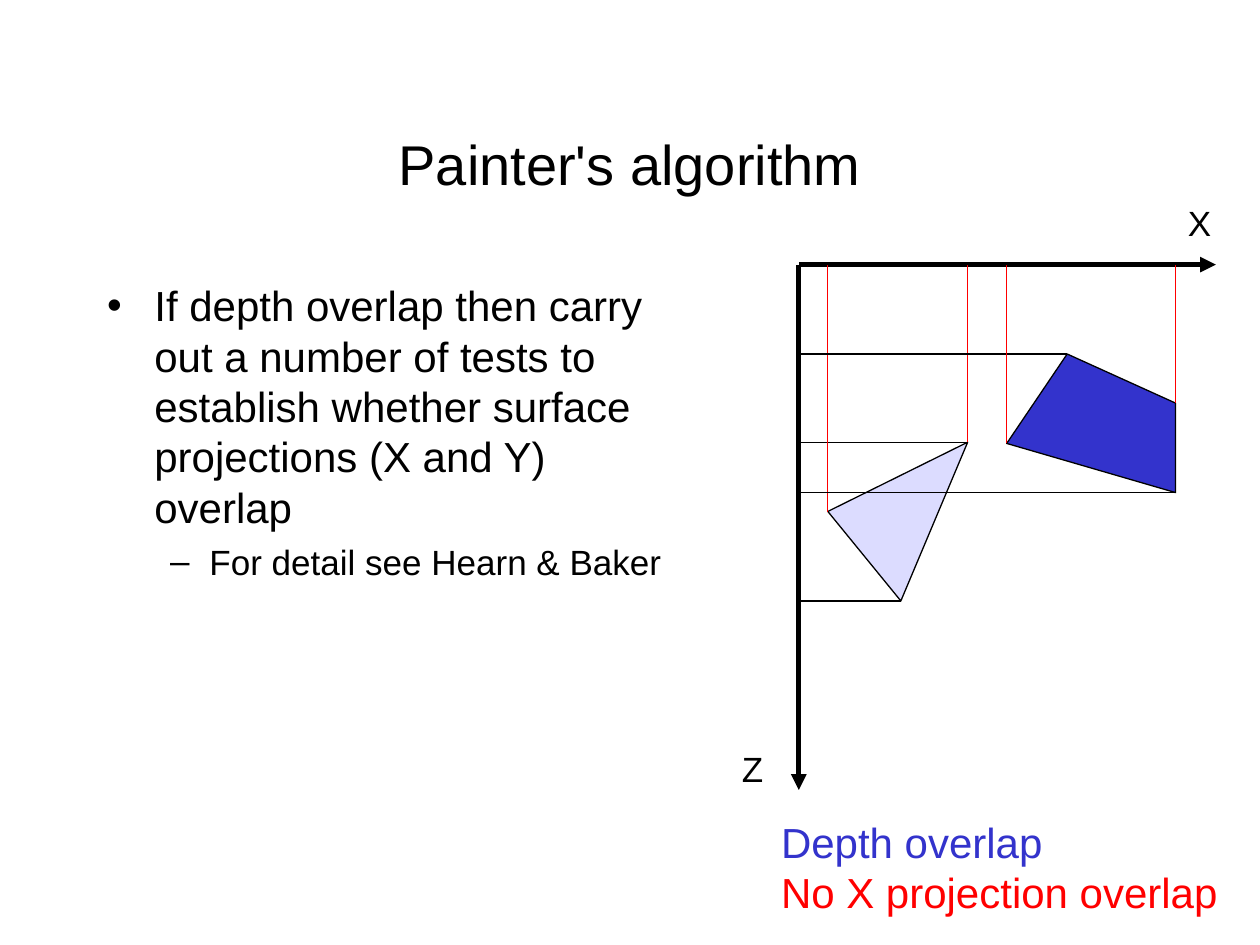
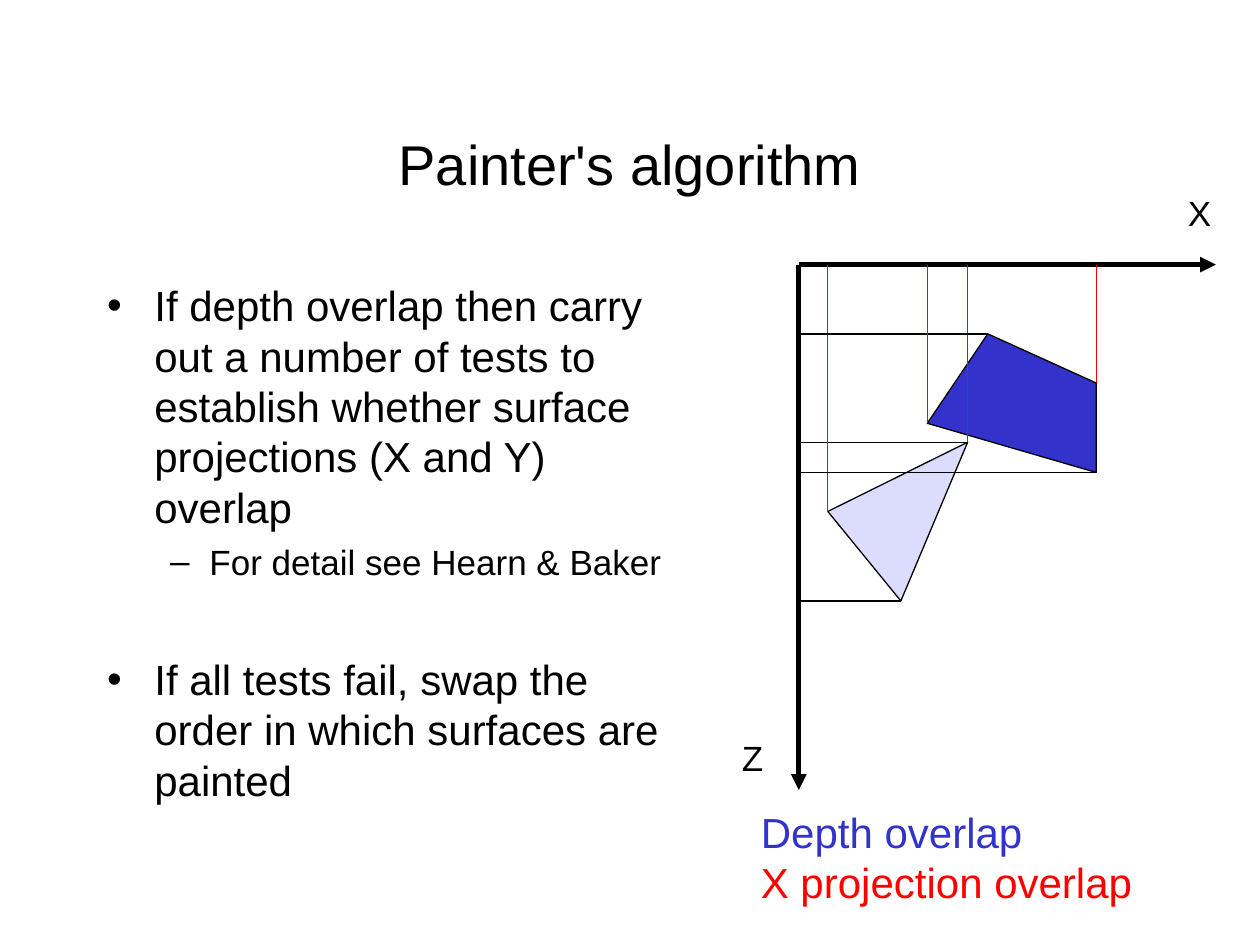
from pptx import Presentation
from pptx.dml.color import RGBColor
from pptx.enum.shapes import MSO_CONNECTOR
from pptx.enum.text import MSO_ANCHOR, MSO_AUTO_SIZE, PP_ALIGN
from pptx.oxml.ns import qn
from pptx.util import Inches, Pt
from lxml.etree import SubElement

FONT = "Arial"
COLORS = {"ink": "000000", "near": "3333CC", "far": "DCDCFF", "cast": "FF0000"}
TITLE = "Painter's algorithm"
POINTS = [
    ("If depth overlap then carry out a number of tests to establish "
     "whether surface projections (X and Y) overlap", 0, 6),
    ("For detail see Hearn & Baker", 1, 5),
]
SWAP = ("If all tests fail, swap the order in which surfaces are painted", 0, 40.5)
SIZES = [24, 20]
AXES = (6.34, 2.1, 3.31, 4.17)
QUAD = [(0, 0), (1.34, 0.39), (1.34, -0.32), (0.48, -0.71)]
FACE = [(0.23, 1.96), (0.81, 2.67), (1.34, 1.41)]


def color(name):
    return RGBColor.from_string(COLORS[name])


def style(para, size, name="ink"):
    for run in para.runs:
        run.font.name = FONT
        run.font.size = Pt(size)
        run.font.color.rgb = color(name)


def place(shape, box):
    shape.left, shape.top, shape.width, shape.height = map(Inches, box)


def add_title(slide, box):
    title = slide.shapes.title
    place(title, box)
    frame = title.text_frame
    frame.text = TITLE
    frame.auto_size = MSO_AUTO_SIZE.NONE
    frame.vertical_anchor = MSO_ANCHOR.MIDDLE
    para = frame.paragraphs[0]
    para.alignment = PP_ALIGN.CENTER
    para.space_before, para.space_after = Pt(12), Pt(6)
    style(para, 32)


def add_body(slide, box, points):
    body = slide.placeholders[1]
    place(body, box)
    frame = body.text_frame
    frame.text = "\n".join(text for text, level, gap in points)
    frame.auto_size = MSO_AUTO_SIZE.NONE
    for para, (text, level, gap) in zip(frame.paragraphs, points):
        para.level = level
        para.space_before = Pt(gap)
        style(para, SIZES[level])


def add_text(slide, box, lines, size, wrap=False):
    frame = slide.shapes.add_textbox(*map(Inches, box)).text_frame
    frame.text = "\n".join(text for text, name in lines)
    frame.word_wrap = wrap
    for para, (text, name) in zip(frame.paragraphs, lines):
        style(para, size, name)


def add_line(slide, start, end, name="ink", width=0.75, arrow=False):
    ends = map(Inches, (*start, *end))
    line = slide.shapes.add_connector(MSO_CONNECTOR.STRAIGHT, *ends)
    line.line.color.rgb = color(name)
    line.line.width = Pt(width)
    if arrow:
        SubElement(line.line._get_or_add_ln(), qn("a:tailEnd"), type="triangle")
    SubElement(line._element.spPr, qn("a:effectLst"))


def add_face(slide, points, name):
    spots = [(Inches(x), Inches(z)) for x, z in points]
    pen = slide.shapes.build_freeform(*spots[0], scale=1.0)
    pen.add_line_segments(spots[1:], close=True)
    face = pen.convert_to_shape()
    face.shadow.inherit = False
    face.fill.solid()
    face.fill.fore_color.rgb = color(name)
    face.line.color.rgb = color("ink")
    face.line.width = Pt(0.75)


def add_casts(slide, points, left, top):
    for pick in (min, max):
        x, z = pick(points, key=lambda p: p[1])
        add_line(slide, (x, z), (left, z))
        x, z = pick(points, key=lambda p: (p[0], -p[1]))
        add_line(slide, (x, z), (x, top), "cast")


def add_plot(slide, box, shift, lift):
    left, top, width, height = box
    add_text(slide, (left + 2.99, top - 0.55 - lift, 0.38, 0.44), [("X", "ink")], 20)
    add_text(slide, (left - 0.55, top + 3.78 - lift, 0.37, 0.44), [("Z", "ink")], 20)
    for end in ((left, top + height), (left + width, top)):
        add_line(slide, (left, top), end, width=3, arrow=True)
    near = [(left + shift[0] + x, top + shift[1] + z) for x, z in QUAD]
    far = [(left + x, top + z) for x, z in FACE]
    add_face(slide, near, "near")
    add_face(slide, far, "far")
    for points in (far, near):
        add_casts(slide, points, left, top)


def add_slide(deck, points, shift, lift, note, spot):
    slide = deck.slides.add_slide(deck.slide_layouts[1])
    add_title(slide, (0.75, 0.67, 8.5, 1.25))
    add_body(slide, (0.75, 2.17, 4.72, 4.5), points)
    add_text(slide, (*spot, 3.78, 0.9),
             [("Depth overlap", "near"), (note, "cast")], 24, True)
    add_plot(slide, AXES, shift, lift)


def main():
    deck = Presentation()
    deck.slide_width, deck.slide_height = Inches(10), Inches(7.5)
    add_slide(deck, POINTS, (1.65, 1.42), 0,
              "No X projection overlap", (6.1, 6.43))
    add_slide(deck, POINTS + [SWAP], (1.02, 1.26), 0.08,
              "X projection overlap", (5.94, 6.35))
    deck.save("out.pptx")


if __name__ == "__main__":
    main()
